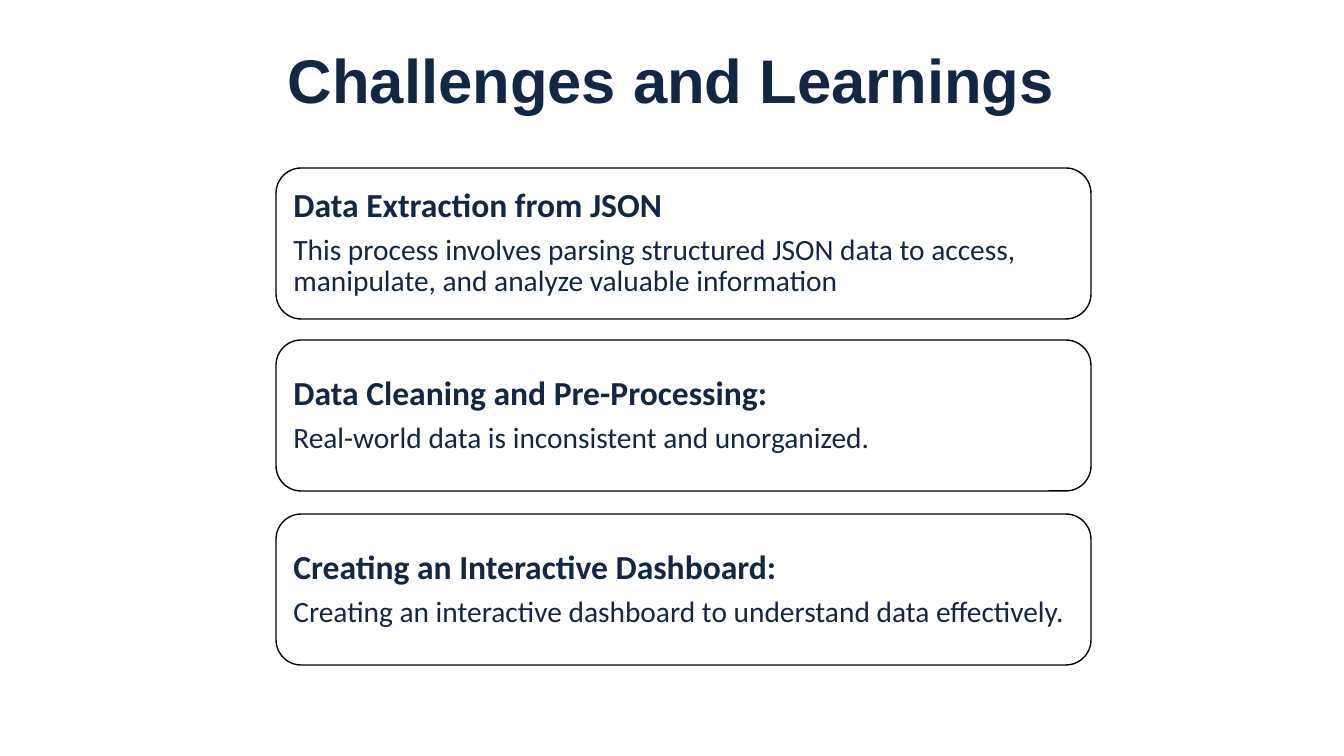
from pptx import Presentation, util as u
from pptx.dml.color import RGBColor
from pptx.enum import shapes, text

TITLE = "Challenges and Learnings"
CARDS = [  # top in px, heading, body
    (168, "Data Extraction from JSON",
     "This process involves parsing structured JSON data to access, "
     "manipulate, and analyze valuable information"),
    (340, "Data Cleaning and Pre-Processing:",
     "Real-world data is inconsistent and unorganized."),
    (514, "Creating an Interactive Dashboard:",
     "Creating an interactive dashboard to understand data effectively."),
]
THEME = {
    "ink": RGBColor(0x13, 0x27, 0x45),
    "paper": RGBColor(0xFF, 0xFF, 0xFF),
    "outline": RGBColor(0, 0, 0),
    "title": ("Arial", 44, True),
    "heading": ("Calibri", 24, True),
    "body": ("Calibri", 21, False),
}
SLIDE_W, SLIDE_H = 1344, 756
LEFT = 276
TITLE_BOX = (LEFT, 32, 791, 103)
CARD_W, CARD_H, INSET = 815, 151, 10
LINE_SPACING, HEADING_GAP = 0.9, 7


def px(n):
    return u.Emu(round(n * 914400 / 100.8))


def add_text(p, words, style, align, gap=0):
    p.alignment = align
    p.line_spacing = LINE_SPACING
    p.space_after = u.Pt(gap)
    r = p.add_run()
    r.text = words
    name, size, bold = THEME[style]
    r.font.name, r.font.size, r.font.bold = name, u.Pt(size), bold
    r.font.color.rgb = THEME["ink"]


def prepare_frame(sp):
    tf = sp.text_frame
    tf.word_wrap = True
    tf.vertical_anchor = text.MSO_ANCHOR.MIDDLE
    tf.margin_left = tf.margin_right = px(INSET)
    tf.margin_top = tf.margin_bottom = px(INSET)
    return tf


def add_card(s, top, heading, body):
    sp = s.shapes.add_shape(shapes.MSO_SHAPE.ROUNDED_RECTANGLE,
                            px(LEFT), px(top), px(CARD_W), px(CARD_H))
    sp.shadow.inherit = False
    sp.fill.solid()
    sp.fill.fore_color.rgb = THEME["paper"]
    sp.line.color.rgb = THEME["outline"]
    sp.line.width = u.Pt(1)
    tf = prepare_frame(sp)
    add_text(tf.paragraphs[0], heading, "heading", text.PP_ALIGN.LEFT, HEADING_GAP)
    add_text(tf.add_paragraph(), body, "body", text.PP_ALIGN.LEFT)


def main():
    prs = Presentation()
    prs.slide_width, prs.slide_height = px(SLIDE_W), px(SLIDE_H)
    s = prs.slides.add_slide(prs.slide_layouts[6])
    s.background.fill.solid()
    s.background.fill.fore_color.rgb = THEME["paper"]

    title = s.shapes.add_textbox(*map(px, TITLE_BOX))
    add_text(prepare_frame(title).paragraphs[0], TITLE, "title", text.PP_ALIGN.CENTER)
    for card in CARDS:
        add_card(s, *card)
    prs.save("out.pptx")


if __name__ == "__main__":
    main()
